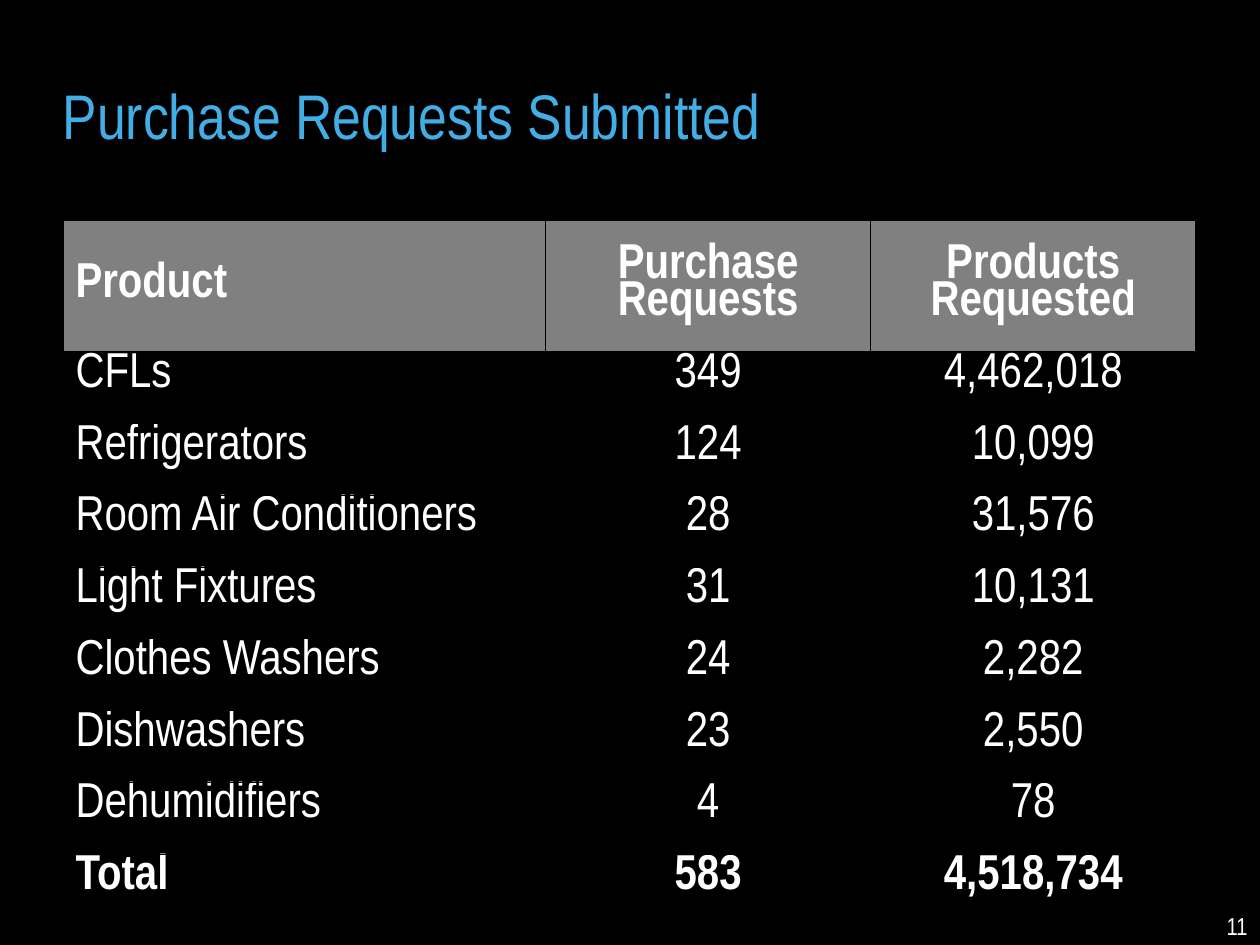
"""Build the slide that tabulates purchase requests by product."""

from typing import NamedTuple

from lxml.etree import SubElement
from pptx import Presentation
from pptx.dml.color import RGBColor
from pptx.enum.text import MSO_ANCHOR, PP_ALIGN
from pptx.oxml.ns import qn
from pptx.util import Inches, Pt

BLACK = RGBColor(0x00, 0x00, 0x00)
WHITE = RGBColor(0xFF, 0xFF, 0xFF)
GRAY = RGBColor(0x80, 0x80, 0x80)
BLUE = RGBColor(0x42, 0xAE, 0xE6)
FONT_NAME = "Arial Narrow"
OUTER_LINE = Pt(1.08)
INNER_LINE = Pt(0.45)
COLUMN_WIDTHS = (3.83, 2.58, 2.58)
HEADER_HEIGHT = 1.04
ROW_HEIGHT = 0.57


class ProductRow(NamedTuple):
    product: str
    requests: str
    quantity: str


ROWS = (
    ProductRow("Product", "Purchase Requests", "Products Requested"),
    ProductRow("CFLs", "349", "4,462,018"),
    ProductRow("Refrigerators", "124", "10,099"),
    ProductRow("Room Air Conditioners", "28", "31,576"),
    ProductRow("Light Fixtures", "31", "10,131"),
    ProductRow("Clothes Washers", "24", "2,282"),
    ProductRow("Dishwashers", "23", "2,550"),
    ProductRow("Dehumidifiers", "4", "78"),
    ProductRow("Total", "583", "4,518,734"),
)


class Label(NamedTuple):
    text: str
    left: float
    top: float
    width: float
    height: float
    size: int
    color: RGBColor
    align: PP_ALIGN
    anchor: MSO_ANCHOR


LABELS = (
    Label("Purchase Requests Submitted", 0.4, 0.28, 9, 1.25, 36, BLUE,
          PP_ALIGN.LEFT, MSO_ANCHOR.MIDDLE),
    Label("11", 9.44, 7.18, 0.56, 0.32, 14, WHITE,
          PP_ALIGN.RIGHT, MSO_ANCHOR.TOP),
)


def style_paragraph(para, size: int, color: RGBColor, align: PP_ALIGN,
                    bold: bool = False) -> None:
    para.alignment = align
    para.font.name = FONT_NAME
    para.font.size = Pt(size)
    para.font.bold = bold
    para.font.color.rgb = color


def add_label(page, label: Label) -> None:
    box = page.shapes.add_textbox(
        Inches(label.left), Inches(label.top), Inches(label.width), Inches(label.height))
    frame = box.text_frame
    frame.word_wrap = True
    frame.vertical_anchor = label.anchor
    frame.text = label.text
    style_paragraph(frame.paragraphs[0], label.size, label.color, label.align)


def add_border(cell, side: str, width: int) -> None:
    line = SubElement(cell._tc.get_or_add_tcPr(), qn(f"a:ln{side}"), w=str(width))
    fill = SubElement(line, qn("a:solidFill"))
    SubElement(fill, qn("a:srgbClr"), val=str(BLACK))


def fill_cell(cell, text: str, row_index: int, column_index: int) -> None:
    is_header = row_index == 0
    is_last = row_index == len(ROWS) - 1
    outer_sides = {
        "L": column_index == 0,
        "R": column_index == len(COLUMN_WIDTHS) - 1,
        "T": is_header,
        "B": is_last,
    }
    for side, is_outer in outer_sides.items():
        add_border(cell, side, OUTER_LINE if is_outer else INNER_LINE)
    if is_header:
        cell.fill.solid()
        cell.fill.fore_color.rgb = GRAY
    else:
        cell.fill.background()
    cell.vertical_anchor = MSO_ANCHOR.MIDDLE if is_header else MSO_ANCHOR.TOP
    cell.text = text
    para = cell.text_frame.paragraphs[0]
    para.line_spacing = 0.8
    para.space_after = Pt(7)
    align = PP_ALIGN.LEFT if column_index == 0 else PP_ALIGN.CENTER
    style_paragraph(para, 28, WHITE, align, bold=is_header or is_last)


def add_request_table(page) -> None:
    height = HEADER_HEIGHT + ROW_HEIGHT * (len(ROWS) - 1)
    table = page.shapes.add_table(
        len(ROWS), len(COLUMN_WIDTHS), Inches(0.5), Inches(1.75),
        Inches(sum(COLUMN_WIDTHS)), Inches(height)).table
    table.horz_banding = False
    for column, width in zip(table.columns, COLUMN_WIDTHS):
        column.width = Inches(width)
    for row_index, row in enumerate(ROWS):
        table.rows[row_index].height = Inches(ROW_HEIGHT if row_index else HEADER_HEIGHT)
        for column_index, text in enumerate(row):
            fill_cell(table.cell(row_index, column_index), text, row_index, column_index)


def main() -> None:
    deck = Presentation()
    deck.slide_width = Inches(10)
    deck.slide_height = Inches(7.5)
    page = deck.slides.add_slide(deck.slide_layouts[6])
    page.background.fill.solid()
    page.background.fill.fore_color.rgb = BLACK
    add_request_table(page)
    for label in LABELS:
        add_label(page, label)
    deck.save("out.pptx")


if __name__ == "__main__":
    main()
